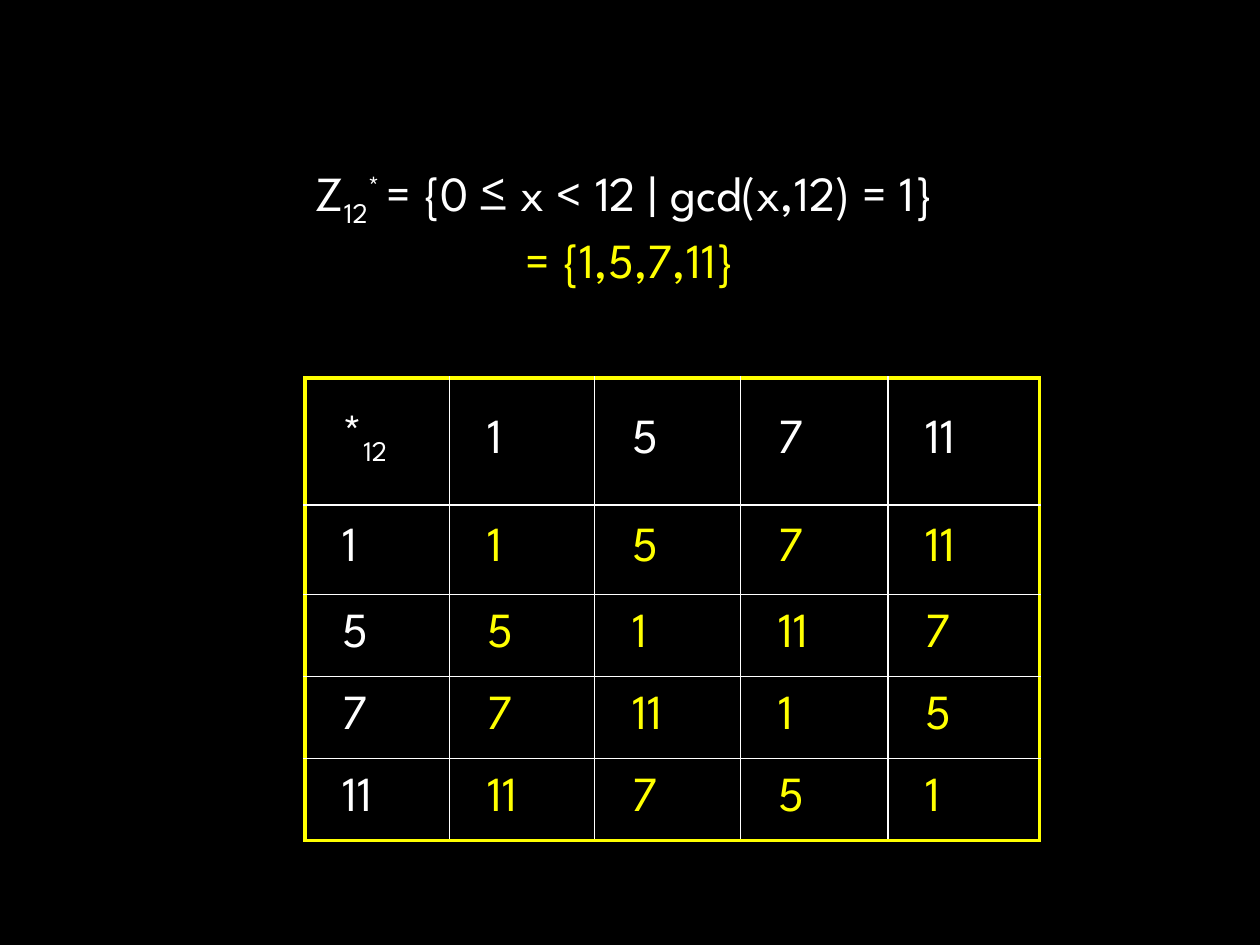
from dataclasses import dataclass

from lxml import etree
from pptx import Presentation
from pptx import util as u
from pptx.dml import color
from pptx.enum import text
from pptx.oxml import ns

FONT = "League Spartan"
WHITE, YELLOW, BLACK = "FFFFFF", "FFFF00", "000000"
MODULUS = 12
UNITS = [1, 5, 7, 11]
COLUMN_WIDTHS = [82.8, 82.8, 83.5, 84.25, 86.4]
ROW_HEIGHTS = [72.7, 51.1, 46.8, 46.8, 46.8]


@dataclass
class Piece:
    content: str
    colour: str = WHITE
    baseline: int = 0


def rgb(value: str) -> color.RGBColor:
    return color.RGBColor.from_string(value)


def add_piece(paragraph, piece: Piece) -> None:
    run = paragraph.add_run()
    run.text = piece.content
    run.font.name = FONT
    run.font.size = u.Pt(28)
    run.font.color.rgb = rgb(piece.colour)
    if piece.baseline:
        run.font._element.set("baseline", str(piece.baseline * 1000))


def add_border(cell, side: str, outer: bool) -> None:
    width = u.Pt(2.25 if outer else 1)
    properties = cell._tc.get_or_add_tcPr()
    line = etree.SubElement(properties, ns.qn(f"a:ln{side}"), w=str(width))
    fill = etree.SubElement(line, ns.qn("a:solidFill"))
    etree.SubElement(fill, ns.qn("a:srgbClr"), val=YELLOW if outer else WHITE)


def cell_pieces(row: int, column: int) -> list[Piece]:
    if row == 0 and column == 0:
        return [Piece("*"), Piece(str(MODULUS), baseline=-25)]
    if row == 0 or column == 0:
        return [Piece(str(UNITS[max(row, column) - 1]))]
    product = UNITS[row - 1] * UNITS[column - 1] % MODULUS
    return [Piece(str(product), YELLOW)]


def fill_cell(cell, row: int, column: int) -> None:
    cell.margin_left = cell.margin_right = u.Pt(21.6)
    cell.margin_top = cell.margin_bottom = u.Pt(3.6)
    cell.vertical_anchor = text.MSO_ANCHOR.MIDDLE
    last = len(UNITS)
    edges = {"L": column == 0, "R": column == last, "T": row == 0, "B": row == last}
    for side, outer in edges.items():
        add_border(cell, side, outer)
    cell.fill.background()
    for piece in cell_pieces(row, column):
        add_piece(cell.text_frame.paragraphs[0], piece)


def add_definition(slide) -> None:
    shape = slide.shapes.add_textbox(u.Pt(98.6), u.Pt(89.3), u.Pt(523.4), u.Pt(74.2))
    shape.text_frame.word_wrap = True
    paragraph = shape.text_frame.paragraphs[0]
    paragraph.alignment = text.PP_ALIGN.CENTER
    for piece in (
        Piece("Z"),
        Piece(str(MODULUS), baseline=-25),
        Piece("* ", baseline=30),
        Piece("= {0 ≤ x < 12 | gcd(x,12) = 1} "),
    ):
        add_piece(paragraph, piece)
    paragraph.add_line_break()
    add_piece(paragraph, Piece("= {1,5,7,11}", YELLOW))


def add_multiplication_table(slide) -> None:
    size = len(UNITS) + 1
    table = slide.shapes.add_table(
        size, size, u.Pt(174.2), u.Pt(216),
        u.Pt(sum(COLUMN_WIDTHS)), u.Pt(sum(ROW_HEIGHTS)),
    ).table
    table.first_row = table.horz_banding = False
    for column, width in zip(table.columns, COLUMN_WIDTHS):
        column.width = u.Pt(width)
    for row, height in zip(table.rows, ROW_HEIGHTS):
        row.height = u.Pt(height)
    for row in range(size):
        for column in range(size):
            fill_cell(table.cell(row, column), row, column)


def main() -> None:
    presentation = Presentation()
    presentation.slide_width, presentation.slide_height = u.Pt(720), u.Pt(540)
    slide = presentation.slides.add_slide(presentation.slide_layouts[6])
    slide.background.fill.solid()
    slide.background.fill.fore_color.rgb = rgb(BLACK)
    add_definition(slide)
    add_multiplication_table(slide)
    presentation.save("out.pptx")


if __name__ == "__main__":
    main()
